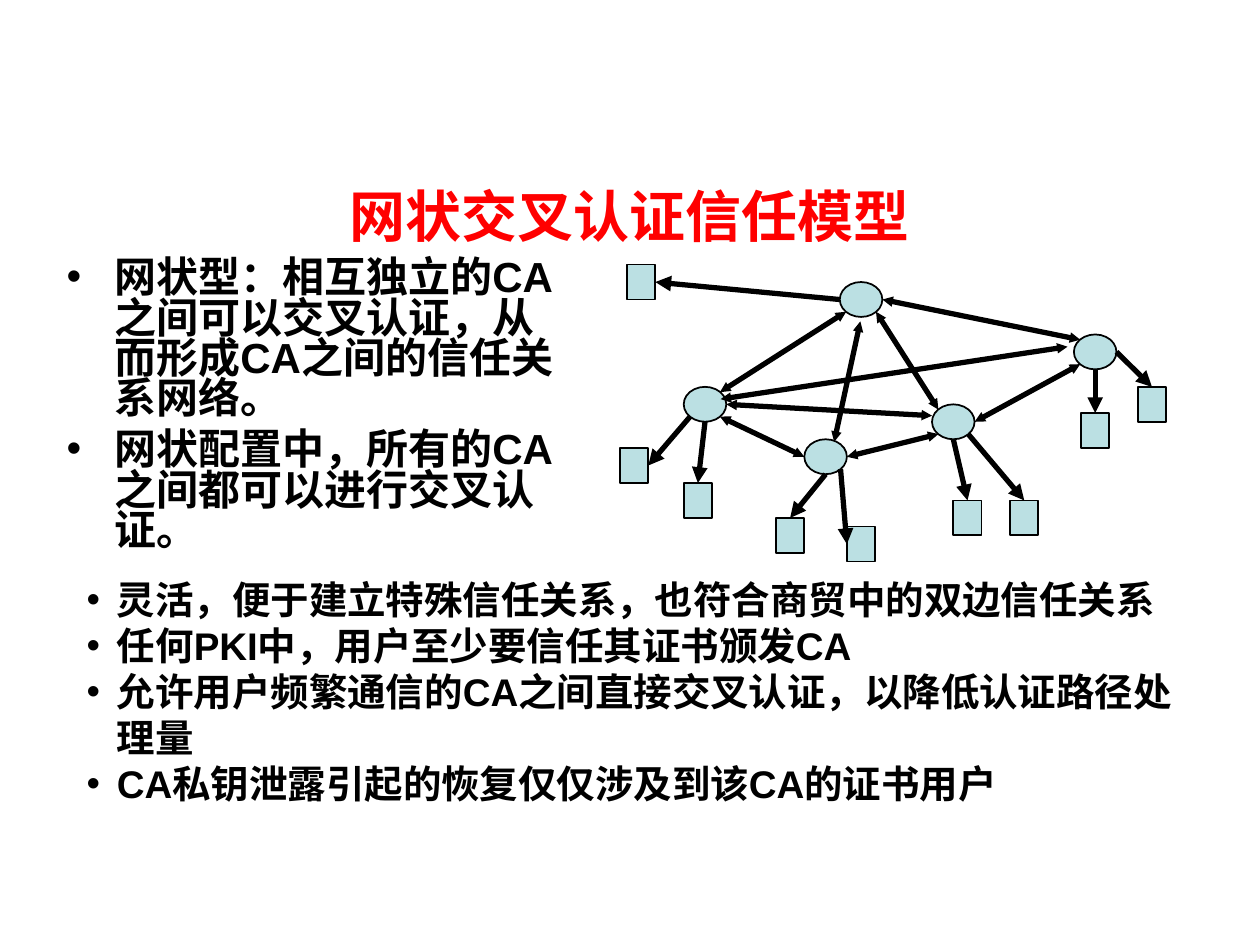
from dataclasses import dataclass

from lxml import etree
from pptx import Presentation
from pptx import util as u
from pptx.dml.color import RGBColor
from pptx.enum import shapes, text
from pptx.oxml import ns


@dataclass(frozen=True)
class Theme:
    font: str = "Arial"
    accent: str = "FF0000"
    ink: str = "000000"
    node: str = "BBE0E3"
    title: int = 32
    body: int = 24
    notes: int = 22
    outline: int = 1
    arrow: int = 3


THEME = Theme()
WIDTH, HEIGHT = 10, 7.5

TITLE = ["网状交叉认证信任模型"]
BODY = [
    "网状型：相互独立的CA之间可以交叉认证，从而形成CA之间的信任关系网络。",
    "网状配置中，所有的CA之间都可以进行交叉认证。",
]
NOTES = [
    "灵活，便于建立特殊信任关系，也符合商贸中的双边信任关系",
    "任何PKI中，用户至少要信任其证书颁发CA",
    "允许用户频繁通信的CA之间直接交叉认证，以降低认证路径处理量",
    "CA私钥泄露引起的恢复仅仅涉及到该CA的证书用户",
]

LEFT, TOP = 4.92, 2.1
COLUMN, ROW = 4.11 / 73, 2.08 / 30
CA_SIZE, USER_SIZE = (6, 4), (4, 4)

AUTHORITIES = {
    "top": (31, 2),
    "centre": (44, 16),
    "left": (9, 14),
    "right": (64, 8),
    "low": (26, 20),
}
USERS = [
    ((1, 0), "E", "top", "W"),
    ((0, 21), "E", "left", "SW"),
    ((9, 25), "N", "left", "S"),
    ((22, 29), "N", "low", "S"),
    ((32, 30), "W", "low", "SE"),
    ((47, 27), "N", "centre", "S"),
    ((55, 27), "N", "centre", "SE"),
    ((65, 17), "N", "right", "S"),
    ((73, 14), "N", "right", "E"),
]
CROSS_LINKS = [
    ("left", "NE", "top", "SW"),
    ("left", "SE", "low", "W"),
    ("low", "E", "centre", "SW"),
    ("top", "SE", "centre", "NW"),
    ("centre", "E", "right", "SW"),
    ("top", "E", "right", "NW"),
]
FREE_LINKS = [
    ((15, 16), (44, 17.3)),
    ((14.2, 15.4), (63.1, 9.4)),
    ((30.2, 20.3), (33.9, 6.5)),
]
SITES = {
    "N": (0.5, 0), "S": (0.5, 1), "W": (0, 0.5), "E": (1, 0.5),
    "NW": (0.15, 0.15), "NE": (0.85, 0.15),
    "SW": (0.15, 0.85), "SE": (0.85, 0.85),
}


def rgb(value):
    return RGBColor.from_string(value)


def inches(*values):
    return [u.Inches(value) for value in values]


def grid(cell):
    return LEFT + cell[0] * COLUMN, TOP + cell[1] * ROW


def site(cell, size, side):
    return tuple(c + s * share for c, s, share in zip(cell, size, SITES[side]))


def add_bullet(paragraph, indent):
    properties = paragraph._p.get_or_add_pPr()
    properties.set("marL", str(u.Inches(indent)))
    properties.set("indent", str(-u.Inches(indent)))
    colour = etree.SubElement(properties, ns.qn("a:buClr"))
    etree.SubElement(colour, ns.qn("a:srgbClr"), val=THEME.ink)
    etree.SubElement(properties, ns.qn("a:buFont"), typeface=THEME.font)
    etree.SubElement(properties, ns.qn("a:buChar"), char="•")


def add_text(slide, box, lines, size, colour, indent=0, spacing=None, before=None):
    frame = slide.shapes.add_textbox(*inches(*box)).text_frame
    frame.word_wrap = True
    frame.text = "\n".join(lines)
    for paragraph in frame.paragraphs:
        if spacing:
            paragraph.line_spacing = spacing
            paragraph.space_before = u.Pt(before)
        if indent:
            add_bullet(paragraph, indent)
        for run in paragraph.runs:
            run.font.name = THEME.font
            run.font.size = u.Pt(size)
            run.font.bold = True
            run.font.color.rgb = rgb(colour)
    return frame


def add_node(parent, preset, cell, size):
    box = (*grid(cell), size[0] * COLUMN, size[1] * ROW)
    shape = parent.shapes.add_shape(preset, *inches(*box))
    shape.shadow.inherit = False
    shape.fill.solid()
    shape.fill.fore_color.rgb = rgb(THEME.node)
    shape.line.color.rgb = rgb(THEME.ink)
    shape.line.width = u.Pt(THEME.outline)


def add_arrow(parent, start, end, width, ends, head_size):
    connector = parent.shapes.add_connector(
        shapes.MSO_CONNECTOR.STRAIGHT, *inches(*start, *end))
    connector.line.color.rgb = rgb(THEME.ink)
    connector.line.width = u.Pt(width)
    line = connector.line._get_or_add_ln()
    for end_name in ends:
        etree.SubElement(line, ns.qn(f"a:{end_name}"),
                         type="triangle", w=head_size, len=head_size)
    etree.SubElement(connector._element.spPr, ns.qn("a:effectLst"))


def add_network(slide):
    group = slide.shapes.add_group_shape()
    for cell in AUTHORITIES.values():
        add_node(group, shapes.MSO_SHAPE.OVAL, cell, CA_SIZE)
    for cell, *_ in USERS:
        add_node(group, shapes.MSO_SHAPE.RECTANGLE, cell, USER_SIZE)
    for cell, side, authority, authority_side in USERS:
        start = site(cell, USER_SIZE, side)
        end = site(AUTHORITIES[authority], CA_SIZE, authority_side)
        add_arrow(group, grid(start), grid(end), THEME.arrow, ["headEnd"], "med")
    links = [(site(AUTHORITIES[a], CA_SIZE, a_side), site(AUTHORITIES[b], CA_SIZE, b_side))
             for a, a_side, b, b_side in CROSS_LINKS]
    for start, end in links + FREE_LINKS:
        add_arrow(group, grid(start), grid(end), THEME.arrow, ["headEnd", "tailEnd"], "sm")


def main():
    presentation = Presentation()
    presentation.slide_width, presentation.slide_height = inches(WIDTH, HEIGHT)
    slide = presentation.slides.add_slide(presentation.slide_layouts[6])

    title = add_text(slide, (0.5, 1.23, 9, 0.95), TITLE, THEME.title, THEME.accent)
    title.vertical_anchor = text.MSO_ANCHOR.MIDDLE
    title.paragraphs[0].alignment = text.PP_ALIGN.CENTER
    add_text(slide, (0.43, 2.02, 4.17, 2.44), BODY, THEME.body, THEME.ink,
             indent=0.38, spacing=0.8, before=6)
    add_arrow(slide, (0.43, 3.24), (0.43, 3.24), THEME.outline,
              ["headEnd", "tailEnd"], "med")
    add_network(slide)
    notes = add_text(slide, (0.59, 4.52, 8.9, 1.94), NOTES, THEME.notes, THEME.ink,
                     indent=0.24)
    notes.auto_size = text.MSO_AUTO_SIZE.SHAPE_TO_FIT_TEXT
    presentation.save("out.pptx")


if __name__ == "__main__":
    main()
